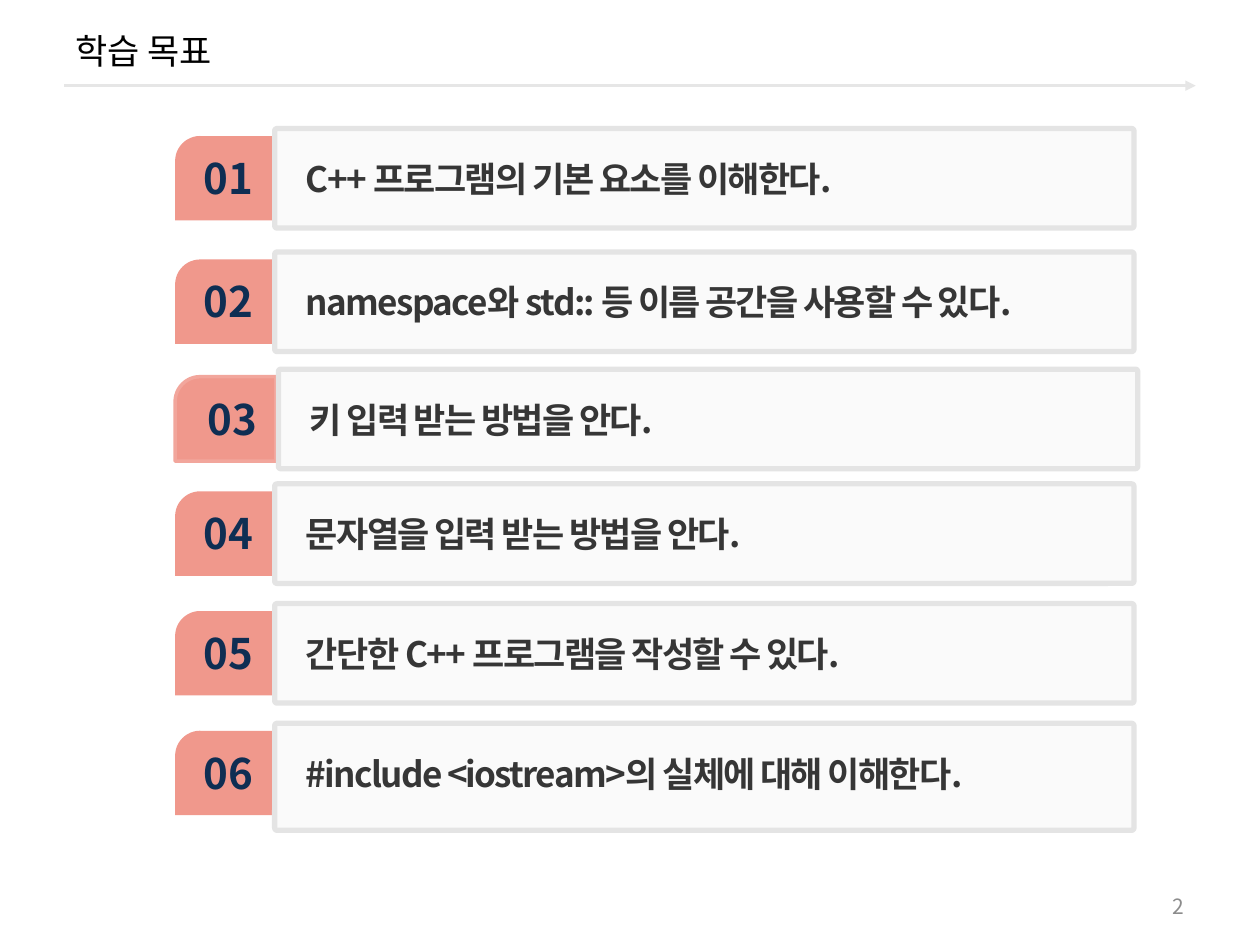
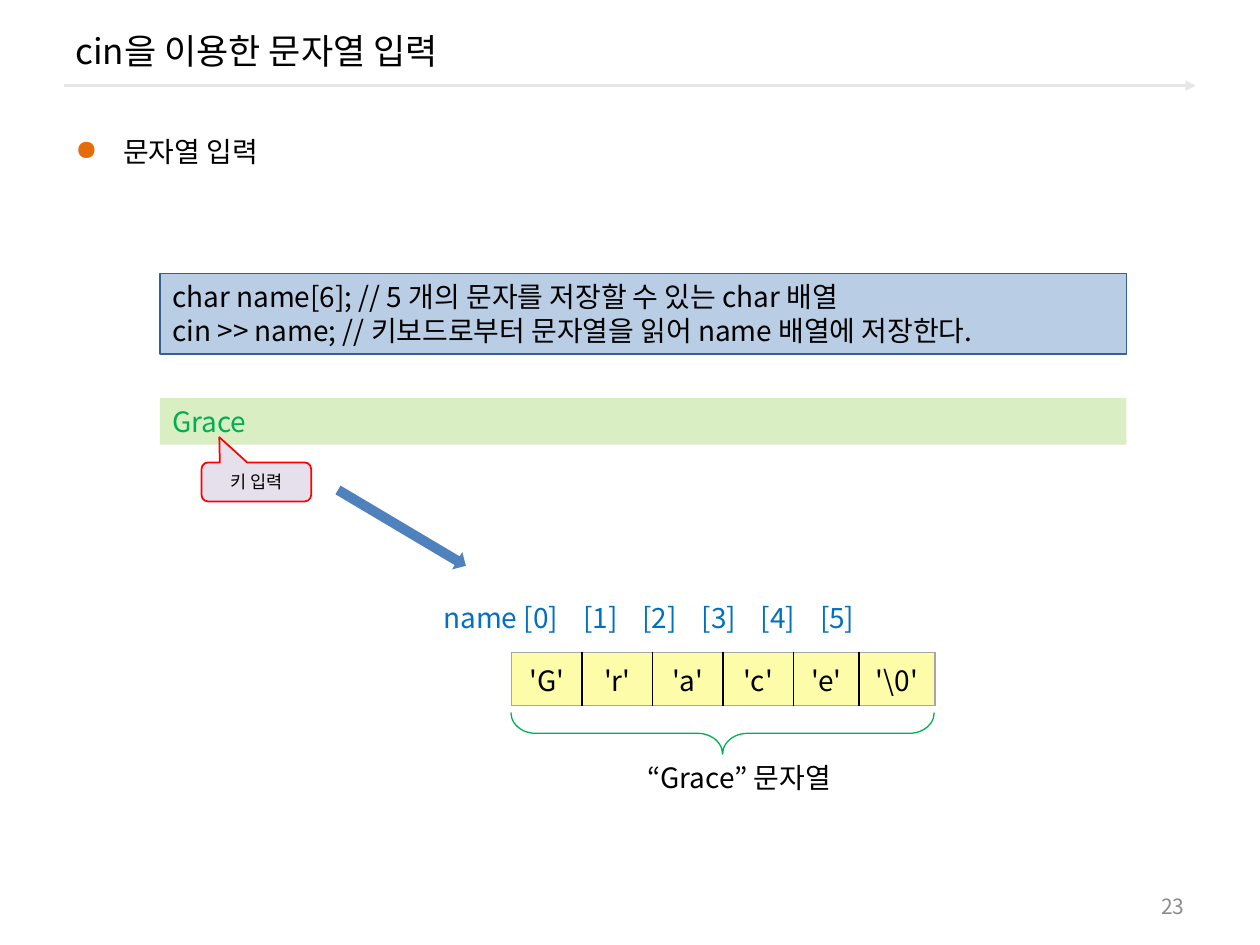
from dataclasses import dataclass
from itertools import accumulate

from lxml.etree import SubElement
from pptx import Presentation
from pptx.dml.color import RGBColor
from pptx.enum.shapes import MSO_CONNECTOR as Connector, MSO_SHAPE as Shape
from pptx.enum.text import MSO_ANCHOR as Anchor, PP_ALIGN as Align
from pptx.oxml.ns import qn
from pptx.util import Inches, Pt

COLS, ROWS = 100, 75
WIDTH, HEIGHT = Inches(10), Inches(7.5)


@dataclass(frozen=True)
class Theme:
    font: str = "Noto Sans CJK KR"
    bullet_font: str = "Arial"
    black: str = "000000"
    rule: str = "E6E6E6"
    page: str = "8C8C8C"
    tab: str = "F0988C"
    tab_edge: str = "F2A69C"
    number: str = "0F2E53"
    card: str = "F2F2F2"
    card_edge: str = "E4E4E4"
    goal: str = "363636"
    bullet: str = "E46C0A"
    code: str = "B9CDE5"
    code_edge: str = "376092"
    console: str = "DAEEC4"
    green: str = "00B050"
    callout: str = "E6E0EC"
    red: str = "FF0000"
    arrow: str = "4F81BD"
    index: str = "0070C0"
    cell: str = "FDFDA9"
    cell_edge: str = "A6A6A6"
    title_size: int = 20
    number_size: int = 24
    body_size: int = 16
    page_size: int = 12
    note_size: int = 10


T = Theme()


@dataclass(frozen=True)
class Box:
    x: float
    y: float
    w: float
    h: float

    def inner(self, x, y, w, h):
        return Box(self.x + x, self.y + y, w, h)

    def emu(self):
        col, row = WIDTH / COLS, HEIGHT / ROWS
        return [round(v) for v in (self.x * col, self.y * row, self.w * col, self.h * row)]


def rgb(color):
    return RGBColor.from_string(color)


def add_run(p, text, size, color, bold=False, font=T.font, spacing=0):
    r = p.add_run()
    r.text = text
    r.font.size, r.font.bold, r.font.name = Pt(size), bold, font
    r.font.color.rgb = rgb(color)
    rpr = r._r.get_or_add_rPr()
    SubElement(rpr, qn("a:ea"), typeface=T.font)
    if spacing:
        rpr.set("spc", str(spacing * 100))


def write(sp, lines, size=T.body_size, color=T.black, align=Align.LEFT,
          anchor=Anchor.TOP, wrap=True, **run_style):
    tf = sp.text_frame
    tf.word_wrap, tf.vertical_anchor = wrap, anchor
    for i, line in enumerate(lines):
        p = tf.paragraphs[0] if i == 0 else tf.add_paragraph()
        p.alignment = align
        add_run(p, line, size, color, **run_style)
    return tf.paragraphs[0]


def add_text(s, box, text, **style):
    return write(s.shapes.add_textbox(*box.emu()), [text], **style)


def add_shape(s, kind, box, fill=None, line=None, weight=1, adjust=(), rotation=0):
    sp = s.shapes.add_shape(kind, *box.emu())
    sp.shadow.inherit = False
    sp.rotation = rotation
    for i, value in enumerate(adjust):
        sp.adjustments[i] = value
    if fill:
        sp.fill.solid()
        sp.fill.fore_color.rgb = rgb(fill)
    else:
        sp.fill.background()
    if line:
        sp.line.color.rgb = rgb(line)
        sp.line.width = Pt(weight)
    else:
        sp.line.fill.background()
    return sp


def set_alpha(sp, percent):
    color = sp._element.spPr.find(qn("a:solidFill"))[0]
    SubElement(color, qn("a:alpha"), val=str(percent * 1000))


def add_frame(prs, title, page):
    s = prs.slides.add_slide(prs.slide_layouts[6])
    left, top, width, _ = Box(5.1, 6.8, 89.8, 0).emu()
    rule = s.shapes.add_connector(Connector.STRAIGHT, left, top, left + width, top)
    rule.line.color.rgb = rgb(T.rule)
    rule.line.width = Pt(1.5)
    sppr = rule._element.spPr
    SubElement(sppr.find(qn("a:ln")), qn("a:tailEnd"), type="triangle")
    SubElement(sppr, qn("a:effectLst"))
    add_text(s, Box(5, 0.8, 90, 6.4), title, size=T.title_size, anchor=Anchor.MIDDLE)
    add_text(s, Box(71.7, 70.3, 23.3, 3.2), page, size=T.page_size, color=T.page,
             align=Align.RIGHT, anchor=Anchor.MIDDLE)
    return s


def add_goal(s, box, number, text, tab_edge=None):
    add_shape(s, Shape.SNIP_ROUND_RECTANGLE, Box(13.9, box.y + 0.6, 8, 6.7),
              T.tab, tab_edge, 2, (0.296, 0))
    add_text(s, box.inner(-6.6, 1.4, 5.9, 5), f"{number:02}", size=T.number_size,
             color=T.number, bold=True, align=Align.CENTER, anchor=Anchor.MIDDLE, wrap=False)
    card = add_shape(s, Shape.ROUNDED_RECTANGLE, box, T.card, T.card_edge, 3, (0.023,))
    set_alpha(card, 33)
    p = add_text(s, box.inner(1.5, 1.6, 64.5, 4.4), text, size=T.title_size,
                 color=T.goal, bold=True, spacing=-1, anchor=Anchor.MIDDLE)
    p.line_spacing = 1.1


def build_goals(prs):
    s = add_frame(prs, "학습 목표", "2")
    card = Box(21.8, 0, 68.2, 7.9)
    goals = [
        (card.inner(0, 10.2, card.w, card.h), "C++ 프로그램의 기본 요소를 이해한다.", None),
        (card.inner(0, 20, card.w, card.h), "namespace와 std:: 등 이름 공간을 사용할 수 있다.", None),
        (card.inner(0.3, 29.3, card.w, card.h), "키 입력 받는 방법을 안다.", T.tab_edge),
        (card.inner(0, 38.4, card.w, card.h), "문자열을 입력 받는 방법을 안다.", None),
        (card.inner(0, 47.9, card.w, card.h), "간단한 C++ 프로그램을 작성할 수 있다.", None),
        (card.inner(0, 57.4, card.w, 8.5), "#include <iostream>의 실체에 대해 이해한다.", None),
    ]
    for number, (box, text, edge) in enumerate(goals, 1):
        add_goal(s, box, number, text, edge)


def add_bullet(s, box, text):
    p = add_text(s, box, text, font=T.bullet_font)
    ppr = p._p.get_or_add_pPr()
    ppr.set("marL", str(Inches(0.38)))
    ppr.set("indent", str(-Inches(0.38)))
    before = SubElement(ppr, qn("a:spcBef"))
    SubElement(before, qn("a:spcPct"), val="20000")
    color = SubElement(ppr, qn("a:buClr"))
    SubElement(color, qn("a:srgbClr"), val=T.bullet)
    SubElement(ppr, qn("a:buChar"), char="●")


def add_console(s, box):
    code = add_shape(s, Shape.RECTANGLE, box.inner(0, 0, box.w, 6.4),
                     T.code, T.code_edge, 0.75)
    write(code, ["char name[6]; // 5 개의 문자를 저장할 수 있는 char 배열",
                 "cin >> name; // 키보드로부터 문자열을 읽어 name 배열에 저장한다."])
    typed = add_shape(s, Shape.RECTANGLE, box.inner(0, 9.9, box.w, 3.7), T.console)
    write(typed, ["Grace"], color=T.green)
    callout = add_shape(s, Shape.ROUNDED_RECTANGULAR_CALLOUT, box.inner(3.3, 15, 8.7, 3.1),
                        T.callout, T.red, 1, (-0.338, -1.147, 0.167))
    write(callout, ["키 입력"], size=T.note_size, align=Align.CENTER, anchor=Anchor.MIDDLE)
    add_shape(s, Shape.RIGHT_ARROW, box.inner(13.3, 19.4, 11.8, 1.6), T.arrow, rotation=30.7)


def set_border(cell, side, color):
    ln = SubElement(cell._tc.get_or_add_tcPr(), qn(f"a:{side}"), w=str(Pt(1)))
    fill = SubElement(ln, qn("a:solidFill"))
    SubElement(fill, qn("a:srgbClr"), val=color)


def add_array(s, box):
    letters = ["'G'", "'r'", "'a'", "'c'", "'e'", "'\\0'"]
    widths = [5.6, 5.6, 5.6, 5.6, 5.2, 6]
    last = len(letters) - 1
    table = s.shapes.add_table(1, len(letters), *box.emu()).table
    table.first_row = table.horz_banding = False
    for i, (letter, width) in enumerate(zip(letters, widths)):
        table.columns[i].width = round(width * WIDTH / COLS)
        cell = table.cell(0, i)
        cell.vertical_anchor = Anchor.MIDDLE
        p = cell.text_frame.paragraphs[0]
        p.alignment = Align.CENTER
        add_run(p, letter, T.body_size, T.black)
        set_border(cell, "lnL", T.black if i else T.cell_edge)
        set_border(cell, "lnR", T.black if i < last else T.cell_edge)
        for side in ("lnT", "lnB"):
            set_border(cell, side, T.cell_edge)
        cell.fill.solid()
        cell.fill.fore_color.rgb = rgb(T.cell)

    labels = "\t".join(["name [0]"] + [f"[{i}]" for i in range(1, len(letters))])
    p = add_text(s, box.inner(-6.4, -4.6, 39.9, 3.7), labels, color=T.index)
    tabs = SubElement(p._p.get_or_add_pPr(), qn("a:tabLst"))
    for stop in accumulate([1.11] + [0.47] * (last - 1)):
        SubElement(tabs, qn("a:tab"), pos=str(Inches(stop)), algn="l")

    add_shape(s, Shape.LEFT_BRACE, box.inner(15.1, -10.4, 3.3, box.w), line=T.green,
              weight=0.75, adjust=(0.598, 0.5), rotation=270)
    add_text(s, box.inner(9.8, 8.1, 17.1, 3.7), "“Grace” 문자열", wrap=False)


def build_string_input(prs):
    s = add_frame(prs, "cin을 이용한 문자열 입력", "23")
    add_bullet(s, Box(5, 10.2, 90, 60.2), "문자열 입력")
    add_console(s, Box(12.7, 21.7, 76.7, 21))
    add_array(s, Box(40.6, 51.8, 33.6, 4.2))


def main():
    prs = Presentation()
    prs.slide_width, prs.slide_height = WIDTH, HEIGHT
    build_goals(prs)
    build_string_input(prs)
    prs.save("out.pptx")


if __name__ == "__main__":
    main()
